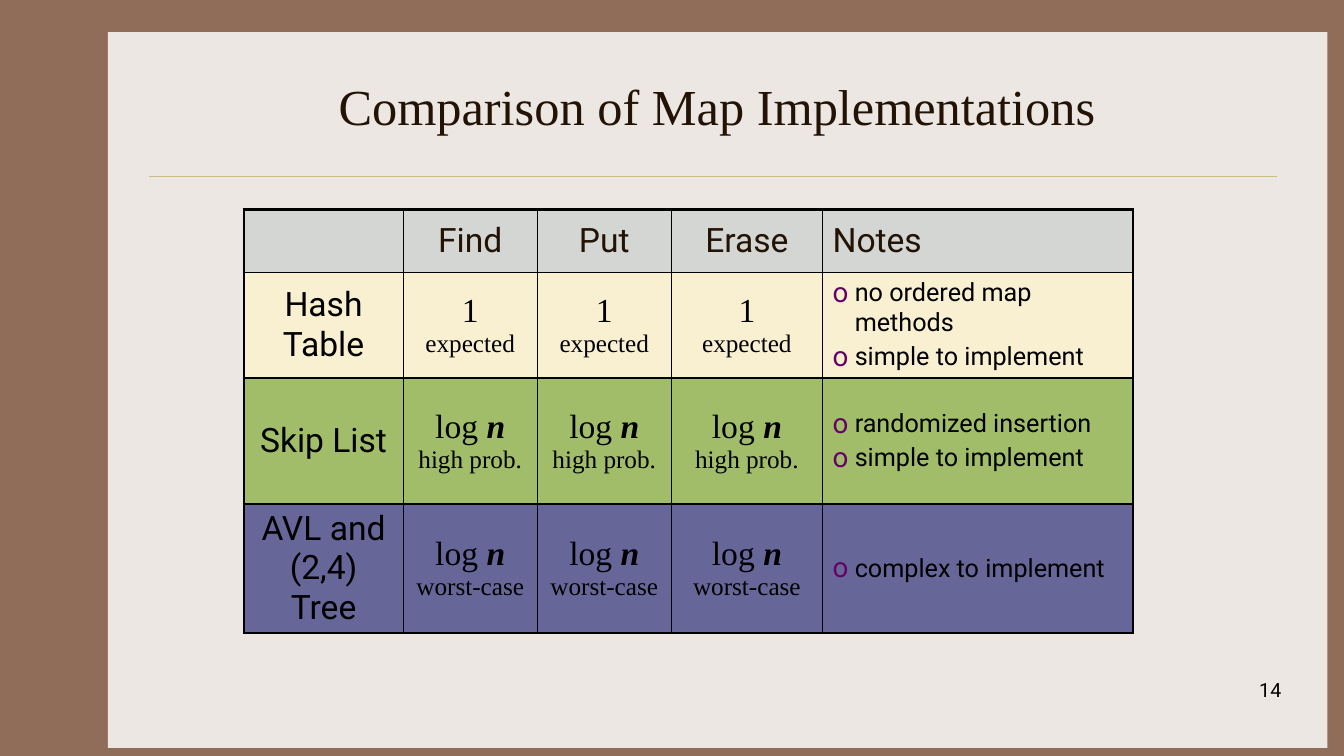
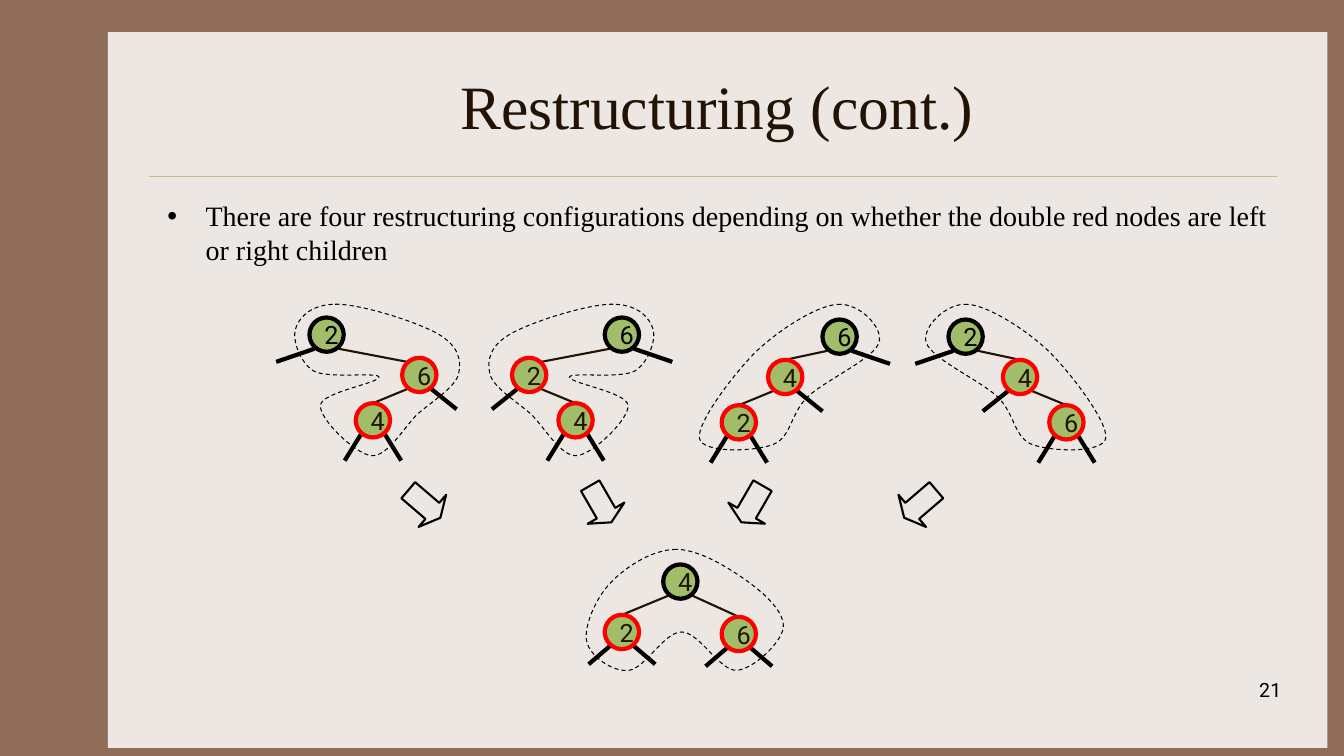
from dataclasses import dataclass

from lxml.etree import SubElement
from pptx import Presentation
from pptx.dml.color import RGBColor as RGB
from pptx.enum.dml import MSO_LINE_DASH_STYLE as DASH
from pptx.enum.shapes import MSO_CONNECTOR as CONN, MSO_SHAPE as SHAPE
from pptx.enum.text import MSO_ANCHOR as ANCHOR, MSO_AUTO_SIZE as AUTO, PP_ALIGN as ALIGN
from pptx.oxml.ns import qn
from pptx.util import Inches, Pt


@dataclass(frozen=True)
class Theme:
    frame: str = "906D58"
    panel: str = "EDE7E3"
    rule: str = "CBBD83"
    dark: str = "221304"
    black: str = "000000"
    red: str = "FF0000"
    green: str = "A1BD69"
    header: str = "D4D6D4"
    cream: str = "F8F0D0"
    violet: str = "666699"
    bullet: str = "660066"
    serif: str = "Times New Roman"
    sans: str = "Roboto"
    table: int = 24
    body: int = 20
    small: int = 18
    number: int = 14
    thin: float = 0.75
    cell: float = 1
    edge: float = 1.5
    outer: float = 2.25
    thick: float = 3


T = Theme()


@dataclass(frozen=True)
class Tree:
    nodes: tuple
    edges: tuple
    stubs: tuple
    outline: tuple
    root_text: str = T.black


RADIUS = 0.17
TOP = (0, -RADIUS)
CORNER = (0.12, 0.14)

ZIGZAG = Tree(
    nodes=((3.24, 3.32), (4.16, 3.72), (3.7, 4.17)),
    edges=((0, 1, (-0.12, -0.13)), (1, 2, TOP)),
    stubs=((0, -0.5, 0.27), (1, 0.37, 0.34), (2, -0.28, 0.4), (2, 0.28, 0.4)),
    outline=((3.3, 3.02),
             (3.07, 3.03), (2.96, 3.16), (2.93, 3.27),
             (2.9, 3.38), (2.98, 3.6), (3.11, 3.68),
             (3.25, 3.76), (3.75, 3.69), (3.76, 3.74),
             (3.77, 3.8), (3.19, 3.89), (3.18, 4.02),
             (3.16, 4.15), (3.52, 4.5), (3.68, 4.52),
             (3.84, 4.54), (4, 4.25), (4.14, 4.11),
             (4.29, 3.98), (4.52, 3.84), (4.55, 3.71),
             (4.58, 3.57), (4.55, 3.43), (4.34, 3.31),
             (4.13, 3.19), (3.53, 3), (3.3, 3.02)))

CHAIN = Tree(
    nodes=((9.58, 3.34), (10.12, 3.74), (10.58, 4.19)),
    edges=((0, 1, TOP), (1, 2, TOP)),
    stubs=((0, -0.5, 0.27), (1, -0.37, 0.34), (2, -0.28, 0.4), (2, 0.28, 0.4)),
    outline=((9.6, 3.02),
             (9.39, 3), (9.14, 3.25), (9.19, 3.4),
             (9.24, 3.56), (9.72, 3.77), (9.9, 3.94),
             (10.07, 4.11), (10.06, 4.34), (10.24, 4.41),
             (10.42, 4.48), (10.94, 4.5), (10.97, 4.35),
             (11, 4.2), (10.64, 3.72), (10.41, 3.49),
             (10.18, 3.27), (9.8, 3.03), (9.6, 3.02)))

BALANCED = Tree(
    nodes=((6.75, 5.77), (6.17, 6.27), (7.33, 6.29)),
    edges=((0, 1, TOP), (0, 2, TOP)),
    stubs=tuple((n, dx, 0.32) for n in (1, 2) for dx in (-0.33, 0.33)),
    outline=((6.71, 5.45),
             (6.47, 5.45), (6.2, 5.63), (6.06, 5.78),
             (5.91, 5.93), (5.79, 6.22), (5.82, 6.36),
             (5.85, 6.51), (6.08, 6.67), (6.24, 6.65),
             (6.4, 6.63), (6.59, 6.27), (6.76, 6.27),
             (6.94, 6.27), (7.14, 6.66), (7.31, 6.65),
             (7.47, 6.64), (7.75, 6.38), (7.77, 6.23),
             (7.79, 6.08), (7.6, 5.9), (7.42, 5.77),
             (7.24, 5.64), (6.94, 5.45), (6.71, 5.45)),
    root_text=T.dark)


def box(*lengths):
    return [Inches(v) for v in lengths]


def style(font, size, name=T.sans, color=T.black, strong=False):
    font.size, font.name = Pt(size), name
    font.bold = font.italic = strong
    font.color.rgb = RGB.from_string(color)


def paint(sp, fill=None, line=None, width=T.cell):
    sp.shadow.inherit = False
    if fill:
        sp.fill.solid()
        sp.fill.fore_color.rgb = RGB.from_string(fill)
    else:
        sp.fill.background()
    if line:
        sp.line.color.rgb = RGB.from_string(line)
        sp.line.width = Pt(width)
    else:
        sp.line.fill.background()


def add_line(s, start, end, color, width):
    cx = s.shapes.add_connector(CONN.STRAIGHT, *box(*start, *end))
    cx.line.color.rgb = RGB.from_string(color)
    cx.line.width = Pt(width)
    SubElement(cx._element.spPr, qn("a:effectLst"))
    return cx


def add_bullet(p, char, indent, color=None, percent=None, font=None):
    pPr = p._p.get_or_add_pPr()
    pPr.set("marL", str(Inches(indent)))
    pPr.set("indent", str(-Inches(indent)))
    if color:
        SubElement(SubElement(pPr, qn("a:buClr")), qn("a:srgbClr"), val=color)
    if percent:
        SubElement(pPr, qn("a:buSzPct"), val=str(percent * 1000))
    if font:
        SubElement(pPr, qn("a:buFont"), typeface=font)
    SubElement(pPr, qn("a:buChar"), char=char)


def dress_master(prs, s):
    master = prs.slide_master
    master.background.fill.solid()
    master.background.fill.fore_color.rgb = RGB.from_string(T.frame)
    panel = s.shapes.add_shape(SHAPE.RECTANGLE, *box(1.07, 0.32, 12.1, 7.1))
    paint(panel, T.panel)
    rule = add_line(s, (1.48, 1.75), (12.67, 1.75), T.rule, 0.25)
    for i, sp in enumerate((panel, rule)):
        sp._element.xpath(".//p:cNvPr")[0].set("id", str(100 + i))
        master.shapes._spTree.insert(2 + i, sp._element)


def add_slide(prs, layout, title, size, number):
    s = prs.slides.add_slide(prs.slide_layouts.get_by_name(layout))
    sp = s.shapes.title
    sp.left, sp.top, sp.width, sp.height = box(1.56, 0.42, 11.11, 1.25)
    tf = sp.text_frame
    tf.text = title
    tf.vertical_anchor, tf.auto_size = ANCHOR.MIDDLE, AUTO.NONE
    p = tf.paragraphs[0]
    p.alignment = ALIGN.CENTER
    style(p.runs[0].font, size, T.serif, T.dark)
    tf = s.shapes.add_textbox(*box(10.03, 6.68, 2.78, 0.5)).text_frame
    tf.word_wrap = True
    tf.text = str(number)
    p = tf.paragraphs[0]
    p.alignment = ALIGN.RIGHT
    style(p.runs[0].font, T.number)
    return s


def add_body(s, text):
    sp = s.placeholders[1]
    sp.left, sp.top, sp.width, sp.height = box(1.56, 1.92, 11.11, 4.5)
    tf = sp.text_frame
    tf.text = text
    tf.auto_size = AUTO.NONE
    tf.margin_right = Inches(0.05)
    p = tf.paragraphs[0]
    p.space_before = Pt(0)
    add_bullet(p, "•", 0.38)
    style(p.runs[0].font, T.body, T.serif)


def finish_cell(cell, fill, borders):
    cell.margin_top = cell.margin_bottom = Inches(0.04)
    tcPr = cell._tc.get_or_add_tcPr()
    for side, width in zip("LRTB", borders):
        ln = SubElement(tcPr, qn(f"a:ln{side}"), w=str(Pt(width)))
        SubElement(SubElement(ln, qn("a:solidFill")), qn("a:srgbClr"), val=T.black)
    cell.fill.solid()
    cell.fill.fore_color.rgb = RGB.from_string(fill)
    cell.vertical_anchor = ANCHOR.MIDDLE


def label_cell(cell, text, color, align=ALIGN.CENTER):
    p = cell.text_frame.paragraphs[0]
    p.text = text
    p.alignment = align
    for r in p.runs:
        style(r.font, T.table, color=color)


def cost_cell(cell, cost, qualifier):
    p = cell.text_frame.paragraphs[0]
    p.alignment = ALIGN.CENTER
    for text, strong in cost:
        r = p.add_run()
        r.text = text
        style(r.font, T.table, T.serif, strong=strong)
    p.add_line_break()
    r = p.add_run()
    r.text = qualifier
    style(r.font, T.small, T.serif)


def notes_cell(cell, notes):
    tf = cell.text_frame
    for i, note in enumerate(notes):
        p = tf.add_paragraph() if i else tf.paragraphs[0]
        p.text = note
        if i:
            p.space_before = Pt(T.small * 0.2)
        add_bullet(p, "o", 0.22, T.bullet, 110, T.sans)
        for r in p.runs:
            style(r.font, T.small)


def add_comparison(s):
    header = ("", "Find", "Put", "Erase", "Notes")
    constant, log_n = (("1", False),), (("log ", False), ("n", True))
    rows = (
        ("Hash Table", constant, "expected",
         ("no ordered map\vmethods", "simple to implement"), T.cream),
        ("Skip List", log_n, "high prob.",
         ("randomized insertion", "simple to implement"), T.green),
        ("AVL and (2,4) Tree", log_n, "worst-case",
         ("complex to implement",), T.violet),
    )
    widths, heights = (1.58, 1.33, 1.33, 1.5, 3.08), (0.62, 1.05, 1.25, 1.19)
    table = s.shapes.add_table(len(heights), len(widths), *box(
        2.42, 2.08, sum(widths), sum(heights))).table
    table.first_row = table.horz_banding = False
    for col, width in zip(table.columns, widths):
        col.width = Inches(width)
    for row, height in zip(table.rows, heights):
        row.height = Inches(height)
    for c, text in enumerate(header):
        label_cell(table.cell(0, c), text, T.dark,
                   ALIGN.LEFT if text == "Notes" else ALIGN.CENTER)
    for i, (name, cost, qualifier, notes, _) in enumerate(rows, 1):
        label_cell(table.cell(i, 0), name, T.black)
        for c in range(1, 4):
            cost_cell(table.cell(i, c), cost, qualifier)
        notes_cell(table.cell(i, 4), notes)
    fills = (T.header, *(row[-1] for row in rows))
    last_row, last_col = len(heights) - 1, len(widths) - 1
    for i, fill in enumerate(fills):
        for c in range(len(widths)):
            at_edge = (c == 0, c == last_col, i == 0, i == last_row)
            finish_cell(table.cell(i, c), fill,
                        [T.outer if e else T.cell for e in at_edge])


def add_node(s, x, y, label, ring, color):
    sp = s.shapes.add_shape(SHAPE.OVAL, *box(
        x - RADIUS, y - RADIUS, 2 * RADIUS, 2 * RADIUS))
    paint(sp, T.green, ring, T.thick)
    tf = sp.text_frame
    tf.text = label
    tf.word_wrap, tf.vertical_anchor = False, ANCHOR.MIDDLE
    p = tf.paragraphs[0]
    p.alignment = ALIGN.LEFT
    style(p.runs[0].font, T.small, color=color)


def add_outline(s, points):
    fb = s.shapes.build_freeform(*box(*points[0]))
    fb.add_line_segments([box(*pt) for pt in points[1:]], close=True)
    sp = fb.convert_to_shape()
    segments = sp._element.xpath(".//a:lnTo")
    for i in range(0, len(segments), 3):
        curve = segments[i]
        curve.tag = qn("a:cubicBezTo")
        for segment in segments[i + 1:i + 3]:
            curve.append(segment[0])
            segment.getparent().remove(segment)
    paint(sp, line=T.black, width=T.thin)
    sp.line.dash_style = DASH.DASH


def add_tree(s, tree, labels, mirror_sum=None):
    def place(x, y):
        return (x if mirror_sum is None else mirror_sum - x), y

    def corner(x, y, dx):
        return x + (CORNER[0] if dx > 0 else -CORNER[0]), y + CORNER[1]

    for parent, child, (dx, dy) in tree.edges:
        (x, y), (cx, cy) = tree.nodes[parent], tree.nodes[child]
        add_line(s, place(*corner(x, y, cx - x)), place(cx + dx, cy + dy),
                 T.dark, T.edge)
    for node, dx, dy in tree.stubs:
        x, y = tree.nodes[node]
        add_line(s, place(*corner(x, y, dx)), place(x + dx, y + dy), T.black, T.thick)
    for i, (node, label) in enumerate(zip(tree.nodes, labels)):
        add_node(s, *place(*node), label, T.red if i else T.black,
                 T.dark if i else tree.root_text)
    add_outline(s, [place(*pt) for pt in tree.outline])


def add_arrow(s, left, rotation):
    sp = s.shapes.add_shape(SHAPE.DOWN_ARROW, *box(left, 4.79, 0.42, 0.42))
    sp.adjustments[0], sp.adjustments[1] = 0.5, 0.25
    sp.rotation = rotation
    paint(sp, line=T.black, width=T.edge)


def main():
    prs = Presentation()
    prs.slide_width, prs.slide_height = box(40 / 3, 7.5)

    s = add_slide(prs, "Title Only", "Comparison of Map Implementations", 36, 14)
    dress_master(prs, s)
    add_comparison(s)

    s = add_slide(prs, "Title and Content", "Restructuring (cont.)", 44, 21)
    add_body(s, "There are four restructuring configurations depending on "
                "whether the double red nodes are left or right children")
    add_tree(s, ZIGZAG, "264")
    add_tree(s, ZIGZAG, "624", mirror_sum=9.41)
    add_tree(s, CHAIN, "642", mirror_sum=17.91)
    add_tree(s, CHAIN, "246")
    add_tree(s, BALANCED, "426")
    for left, rotation in ((4, 310.6), (5.75, 330), (7.25, 30), (8.92, 49.4)):
        add_arrow(s, left, rotation)

    prs.save("out.pptx")


if __name__ == "__main__":
    main()
